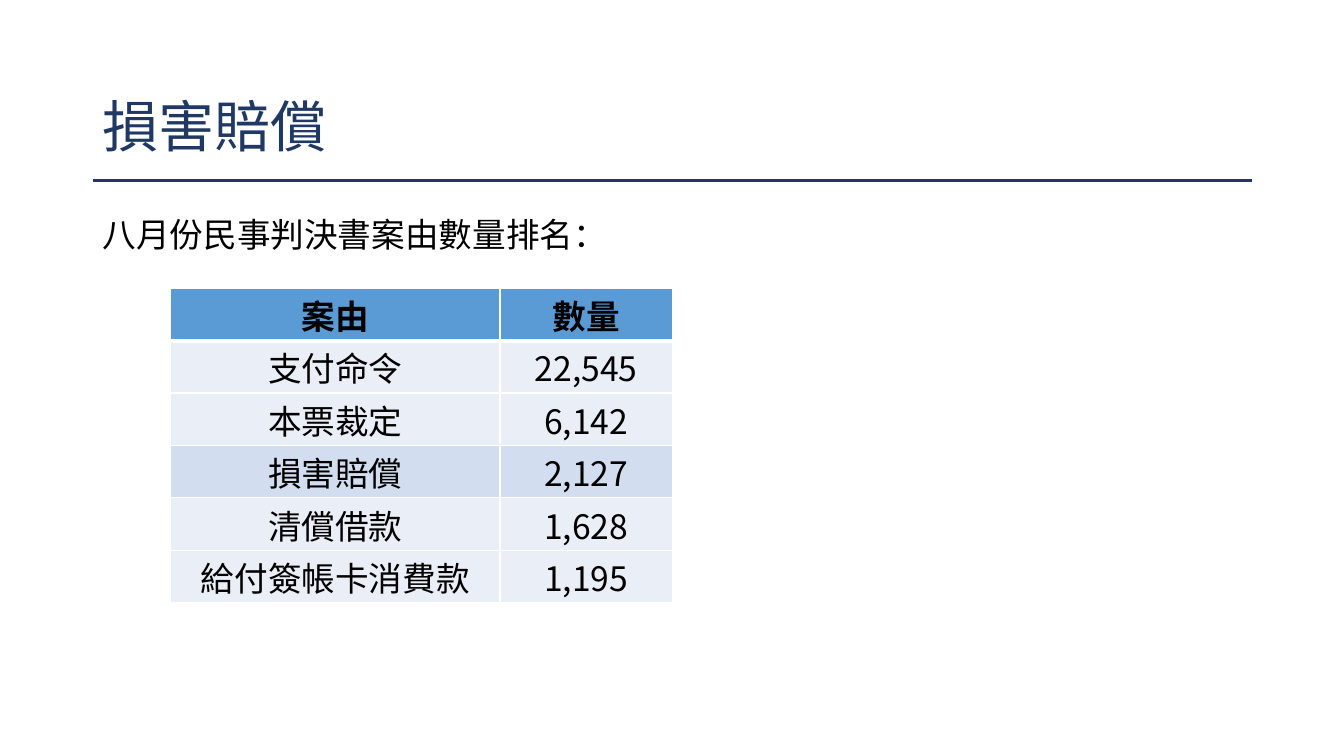
from lxml.etree import SubElement
from pptx import Presentation
from pptx.dml.color import RGBColor
from pptx.enum.shapes import MSO_CONNECTOR
from pptx.enum.text import MSO_ANCHOR, PP_ALIGN
from pptx.oxml import parse_xml
from pptx.oxml.ns import nsdecls, qn
from pptx.util import Inches, Pt

# Content
TITLE = "損害賠償"
INTRO = "八月份民事判決書案由數量排名:".replace(":", "：")
ROWS = [
    ("案由", "數量"),
    ("支付命令", "22,545"),
    ("本票裁定", "6,142"),
    ("損害賠償", "2,127"),
    ("清償借款", "1,628"),
    ("給付簽帳卡消費款", "1,195"),
]
HIGHLIGHT = TITLE
FONT = "Noto Sans CJK SC"
COLORS = {"navy": "203864", "black": "000000", "white": "FFFFFF",
          "header": "5B9BD5", "body": "EAEFF7", "highlight": "D2DEEF"}

# Layout, in inches
LEFT, WIDTH = 0.92, 11.5
RULE_Y = 1.79
COL_WIDTHS = (3.27, 1.71)
ROW_HEIGHT = 0.52


def color(name):
    return RGBColor.from_string(COLORS[name])


def write(tf, text, size, ink, align=PP_ALIGN.LEFT, bold=False):
    tf.text = text
    p = tf.paragraphs[0]
    p.alignment = align
    r = p.runs[0]
    r.font.size, r.font.bold, r.font.name = Pt(size), bold, FONT
    r.font.color.rgb = color(ink)
    SubElement(r.font._element, qn("a:ea"), typeface=FONT)
    return p


def add_borders(cell, widths):
    """Widths in points for the left, right, top and bottom edges."""
    tcPr = cell._tc.get_or_add_tcPr()
    for i, (side, width) in enumerate(zip("LRTB", widths)):
        tcPr.insert(i, parse_xml(
            f'<a:ln{side} {nsdecls("a")} w="{Pt(width)}"><a:solidFill>'
            f'<a:srgbClr val="{COLORS["white"]}"/></a:solidFill></a:ln{side}>'))


prs = Presentation()
prs.slide_width, prs.slide_height = Inches(13.33), Inches(7.5)
s = prs.slides.add_slide(prs.slide_layouts[5])

# Title and rule
title = s.shapes.title
title.left, title.top = Inches(LEFT), Inches(0.79)
title.width, title.height = Inches(WIDTH), Inches(0.99)
title.text_frame.vertical_anchor = MSO_ANCHOR.MIDDLE
write(title.text_frame, TITLE, 40, "navy").line_spacing = 0.9

rule = s.shapes.add_connector(MSO_CONNECTOR.STRAIGHT, Inches(LEFT), Inches(RULE_Y),
                              Inches(LEFT + WIDTH), Inches(RULE_Y))
rule.line.color.rgb = color("navy")
rule.line.width = Pt(2.25)
SubElement(rule._element.spPr, qn("a:effectLst"))

# Ranking table
table = s.shapes.add_table(
    len(ROWS), len(COL_WIDTHS), Inches(1.69), Inches(2.86),
    Inches(sum(COL_WIDTHS)), Inches(ROW_HEIGHT * len(ROWS))).table
for column, width in zip(table.columns, COL_WIDTHS):
    column.width = Inches(width)
for i, values in enumerate(ROWS):
    table.rows[i].height = Inches(ROW_HEIGHT)
    header = i == 0
    fill = "header" if header else "highlight" if values[0] == HIGHLIGHT else "body"
    for j, value in enumerate(values):
        cell = table.cell(i, j)
        cell.margin_left = cell.margin_right = cell.margin_top = Inches(0.01)
        cell.margin_bottom = 0
        cell.vertical_anchor = MSO_ANCHOR.MIDDLE
        write(cell.text_frame, value, 24, "black", PP_ALIGN.CENTER, header)
        cell.fill.solid()
        cell.fill.fore_color.rgb = color(fill)
        add_borders(cell, (1, 1, 3 if i == 1 else 1, 3 if header else 1))

# Introductory line
intro = s.shapes.add_textbox(Inches(LEFT), Inches(2.07), Inches(5.25), Inches(0.5))
intro.text_frame.word_wrap = True
write(intro.text_frame, INTRO, 24, "black")

prs.save("out.pptx")
